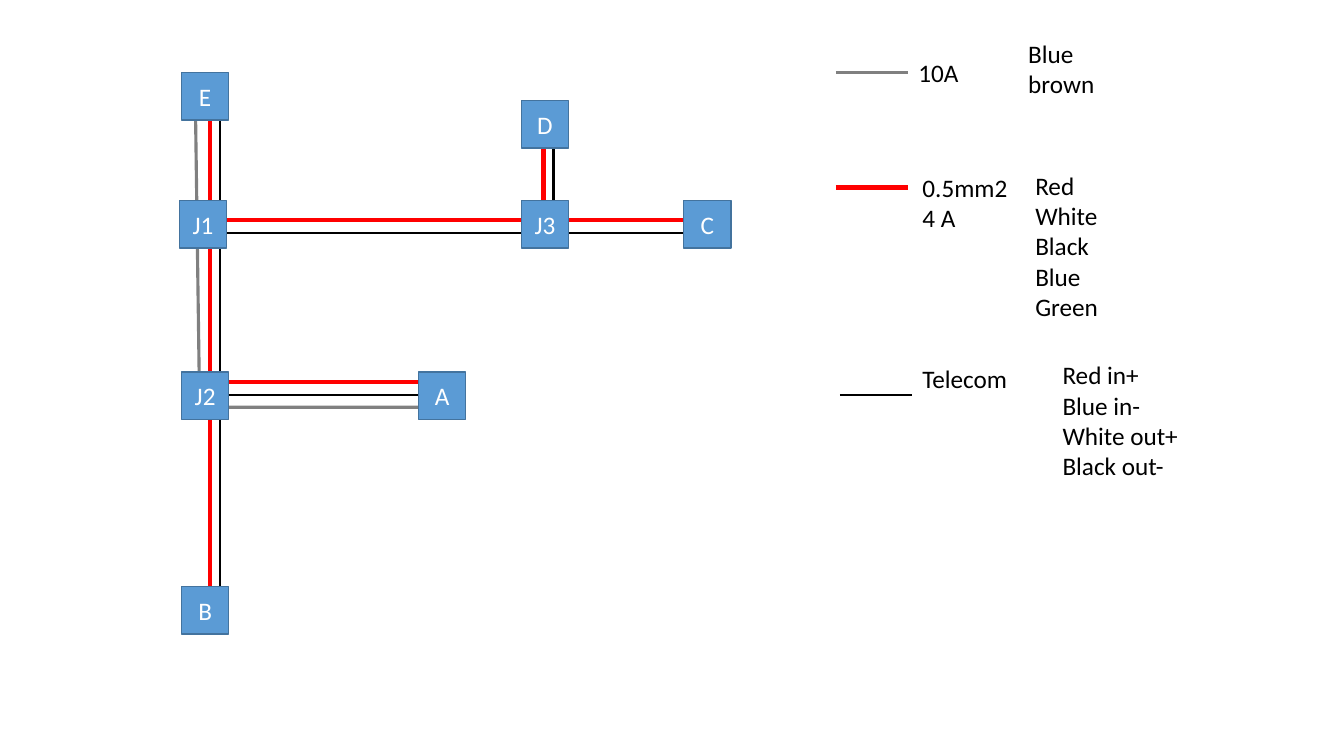
from pptx import Presentation
from pptx.dml.color import RGBColor
from pptx.enum.shapes import MSO_CONNECTOR, MSO_SHAPE
from pptx.enum.text import MSO_ANCHOR, MSO_AUTO_SIZE, PP_ALIGN
from pptx.oxml.ns import qn
from pptx.util import Inches, Pt
from lxml import etree

STRAIGHT = MSO_CONNECTOR.STRAIGHT
RECTANGLE = MSO_SHAPE.RECTANGLE
MIDDLE = MSO_ANCHOR.MIDDLE
CENTER = PP_ALIGN.CENTER
GROW = MSO_AUTO_SIZE.SHAPE_TO_FIT_TEXT

BLACK = RGBColor(0x00, 0x00, 0x00)
RED = RGBColor(0xFF, 0x00, 0x00)
GREY = RGBColor(0x80, 0x80, 0x80)
WHITE = RGBColor(0xFF, 0xFF, 0xFF)
NODE_FILL = RGBColor(0x5B, 0x9B, 0xD5)
NODE_EDGE = RGBColor(0x43, 0x73, 0x9E)

TELECOM = (BLACK, 1.5)
POWER_4A = (RED, 3)
POWER_10A = (GREY, 2.25)

NODE_SIZE = 0.47
KEY_LENGTH = 0.72
LINE_HEIGHT = 0.303

WIRES = [
    (0.4, 0.44, 0.4, 5.5),
    (0.47, 1.59, 5.25, 1.59),
    (3.71, 0.71, 3.71, 1.62),
    (0.47, 3.2, 2.58, 3.2),
]
WIRE_SETS = [(TELECOM, 0, 0), (POWER_4A, -0.1, -0.13)]
POWER_10A_ROUTE = [(0.16, 0.47), (0.2, 3.32), (2.44, 3.32)]
NODES = [
    ("E", 0.02, 0),
    ("B", 0.02, 5.1),
    ("A", 2.37, 2.97),
    ("D", 3.39, 0.28),
    ("C", 5, 1.27),
    ("J1", 0, 1.27),
    ("J2", 0.02, 2.97),
    ("J3", 3.39, 1.27),
]
LEGEND_KEYS = [
    (POWER_10A, 0, 0.39),
    (POWER_4A, 0, 1.53),
    (TELECOM, 0.04, 3.59),
]
LEGEND_TEXTS = [
    ("10A", 0.72, 0.19, 0.66),
    ("Blue\nbrown", 1.81, 0, 0.86),
    ("0.5mm2\n4 A", 0.76, 1.33, 1.05),
    ("Red\nWhite\nBlack\nBlue\nGreen", 1.88, 1.31, 0.83),
    ("Telecom", 0.76, 3.23, 1.05),
    ("Red in+\nBlue in-\nWhite out+\nBlack out-", 2.15, 3.19, 1.36),
]


def style_line(line, style):
    color, width = style
    line.color.rgb = color
    line.width = Pt(width)


def style_text(frame, color):
    for para in frame.paragraphs:
        for span in para.runs:
            span.font.name = "Calibri"
            span.font.size = Pt(18)
            span.font.color.rgb = color


def add_wire(page, style, x1, y1, x2, y2):
    ends = [Inches(value) for value in (x1, y1, x2, y2)]
    wire = page.shapes.add_connector(STRAIGHT, *ends)
    style_line(wire.line, style)
    etree.SubElement(wire._element.spPr, qn("a:effectLst"))


def add_route(page, style, points):
    corners = [(Inches(x), Inches(y)) for x, y in points]
    builder = page.shapes.build_freeform(*corners[0])
    builder.add_line_segments(corners[1:], close=False)
    route = builder.convert_to_shape()
    route.shadow.inherit = False
    route.fill.background()
    style_line(route.line, style)


def add_node(page, label, left, top):
    node = page.shapes.add_shape(
        RECTANGLE, Inches(left), Inches(top), Inches(NODE_SIZE), Inches(NODE_SIZE))
    node.shadow.inherit = False
    node.fill.solid()
    node.fill.fore_color.rgb = NODE_FILL
    style_line(node.line, (NODE_EDGE, 1))
    frame = node.text_frame
    frame.margin_left = frame.margin_right = 0
    frame.vertical_anchor = MIDDLE
    frame.text = label
    frame.paragraphs[0].alignment = CENTER
    style_text(frame, WHITE)


def add_label(page, text, left, top, width):
    height = 0.1 + LINE_HEIGHT * len(text.split("\n"))
    box = page.shapes.add_textbox(
        Inches(left), Inches(top), Inches(width), Inches(height))
    frame = box.text_frame
    frame.word_wrap = False
    frame.auto_size = GROW
    frame.text = text
    style_text(frame, BLACK)


def add_wiring(page, left, top):
    for style, shift_x, shift_y in WIRE_SETS:
        x, y = left + shift_x, top + shift_y
        for x1, y1, x2, y2 in WIRES:
            add_wire(page, style, x + x1, y + y1, x + x2, y + y2)
    add_route(page, POWER_10A, [(left + x, top + y) for x, y in POWER_10A_ROUTE])
    for label, x, y in NODES:
        add_node(page, label, left + x, top + y)


def add_legend(page, left, top):
    for style, x, y in LEGEND_KEYS:
        add_wire(page, style, left + x, top + y, left + x + KEY_LENGTH, top + y)
    for text, x, y, width in LEGEND_TEXTS:
        add_label(page, text, left + x, top + y, width)


def main():
    deck = Presentation()
    deck.slide_width = Inches(13.33)
    deck.slide_height = Inches(7.5)
    page = deck.slides.add_slide(deck.slide_layouts[6])
    add_wiring(page, 1.78, 0.72)
    add_legend(page, 8.29, 0.33)
    deck.save("out.pptx")


if __name__ == "__main__":
    main()
